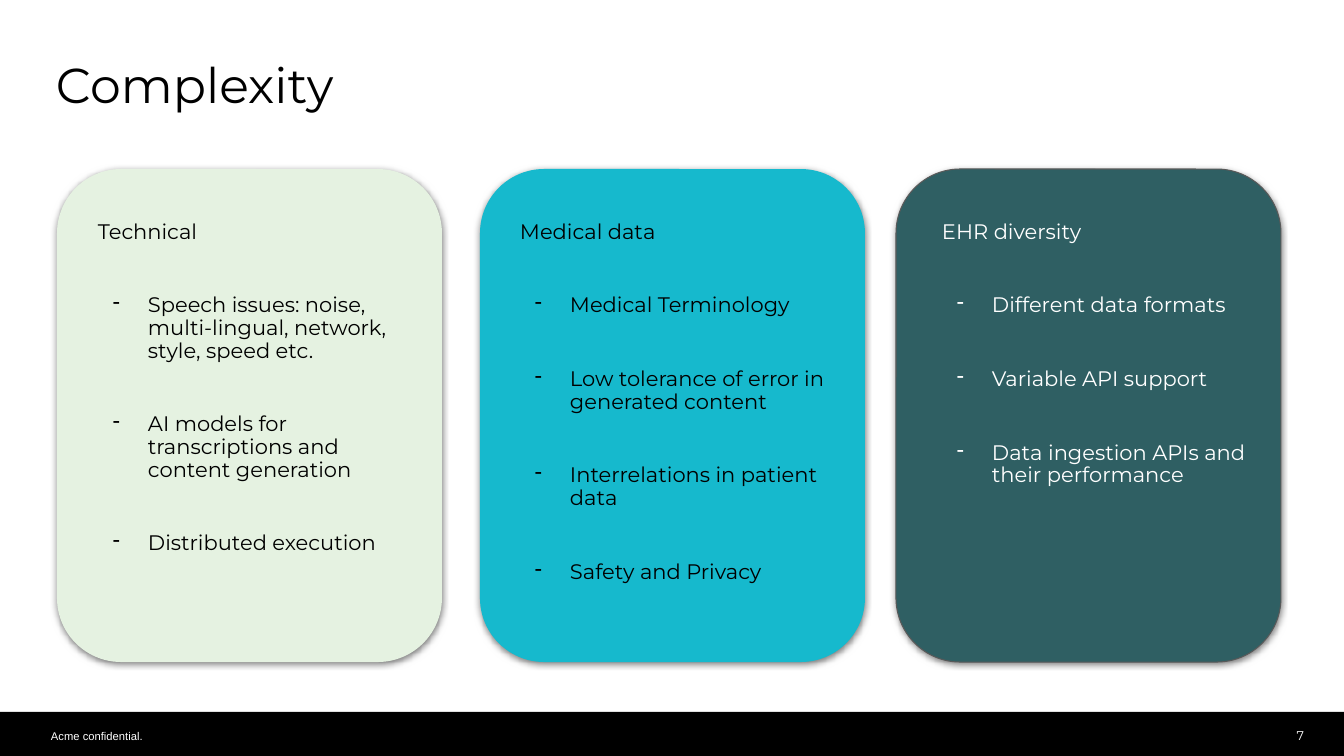
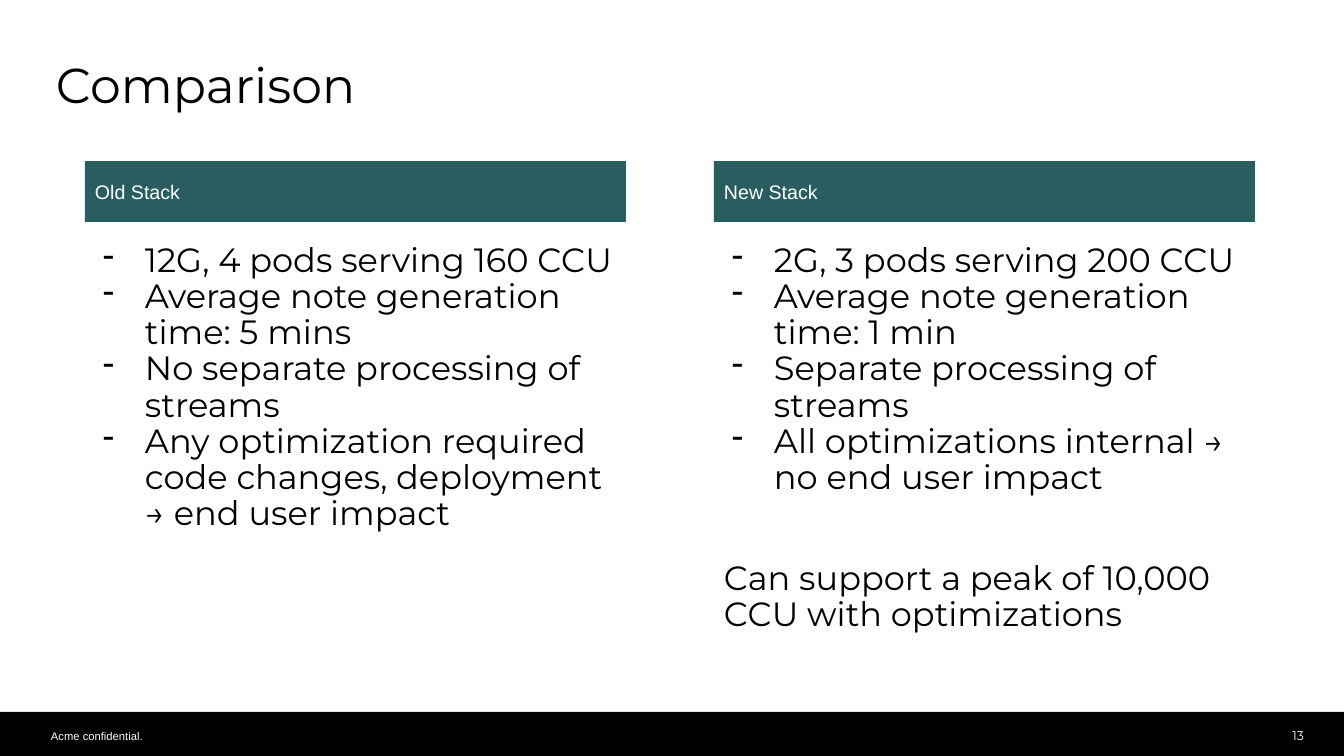
from dataclasses import dataclass

from lxml.etree import SubElement
from pptx import Presentation
from pptx.dml.color import RGBColor
from pptx.enum.shapes import MSO_SHAPE
from pptx.enum.text import MSO_ANCHOR, PP_ALIGN
from pptx.oxml.ns import qn
from pptx.util import Pt

EMU_PER_PX = 914400 / 100.8
SLIDE_WIDTH, SLIDE_HEIGHT = 1344, 756
BLACK, WHITE = "000000", "FFFFFF"
HEADER_TEAL = "2A5D5F"
HEADING_FONT, LABEL_FONT = "Montserrat", "Arial"
BULLET_INDENT = 50


@dataclass
class TextStyle:
    size: int
    color: str = BLACK
    font: str = HEADING_FONT
    line_spacing: float = 1.0
    align: PP_ALIGN = PP_ALIGN.LEFT


@dataclass
class Line:
    text: str
    hanging: int = 0
    space_before: float = 0


TITLE = TextStyle(35, line_spacing=0.9)
COMPARISON_BODY = TextStyle(24, line_spacing=0.9)
HEADER_LABEL = TextStyle(14, WHITE, LABEL_FONT)
FOOTER = TextStyle(8, WHITE, LABEL_FONT)
PAGE_NUMBER = TextStyle(9, WHITE, align=PP_ALIGN.RIGHT)

CARDS = [
    (57, "E5F2E1", None, BLACK, "Technical", [
        "Speech issues: noise, multi-lingual, network, style, speed etc.",
        "AI models for transcriptions and content generation",
        "Distributed execution",
    ]),
    (480, "16B9CD", None, BLACK, "Medical data", [
        "Medical Terminology",
        "Low tolerance of error in generated content",
        "Interrelations in patient data",
        "Safety and Privacy",
    ]),
    (896, "2F5F63", "595959", WHITE, "EHR diversity", [
        "Different data formats",
        "Variable API support",
        "Data ingestion APIs and their performance",
    ]),
]

STACKS = [
    ("Old Stack", [
        "12G, 4 pods serving 160 CCU",
        "Average note generation time: 5 mins",
        "No separate processing of streams",
        "Any optimization required code changes, deployment → end user impact",
    ], None),
    ("New Stack", [
        "2G, 3 pods serving 200 CCU",
        "Average note generation time: 1 min",
        "Separate processing of streams",
        "All optimizations internal → no end user impact",
    ], "Can support a peak of 10,000 CCU with optimizations"),
]


def px(length):
    return round(length * EMU_PER_PX)


def rgb(color):
    return RGBColor.from_string(color)


def add_bullet(paragraph, hanging, color):
    properties = paragraph._p.get_or_add_pPr()
    properties.set("marL", str(px(BULLET_INDENT)))
    properties.set("indent", str(-px(hanging)))
    bullet_color = SubElement(properties, qn("a:buClr"))
    SubElement(bullet_color, qn("a:srgbClr"), val=color)
    SubElement(properties, qn("a:buChar"), char="-")


def write_lines(shape, lines, style, anchor=MSO_ANCHOR.TOP, inset=10):
    frame = shape.text_frame
    frame.word_wrap = True
    frame.vertical_anchor = anchor
    frame.margin_left = frame.margin_right = px(inset)
    frame.margin_top = frame.margin_bottom = px(inset)
    for index, line in enumerate(lines):
        paragraph = frame.add_paragraph() if index else frame.paragraphs[0]
        paragraph.text = line.text
        if line.hanging:
            add_bullet(paragraph, line.hanging, style.color)
        paragraph.alignment = style.align
        paragraph.line_spacing = style.line_spacing
        paragraph.space_before = Pt(line.space_before)
        paragraph.font.name = style.font
        paragraph.font.size = Pt(style.size)
        paragraph.font.color.rgb = rgb(style.color)


def add_text(slide, box, lines, style, **layout):
    shape = slide.shapes.add_textbox(*map(px, box))
    write_lines(shape, lines, style, **layout)


def add_panel(slide, box, fill, preset=MSO_SHAPE.RECTANGLE, outline=None):
    shape = slide.shapes.add_shape(preset, *map(px, box))
    shape.shadow.inherit = False
    shape.fill.solid()
    shape.fill.fore_color.rgb = rgb(fill)
    if outline:
        shape.line.color.rgb = rgb(outline)
        shape.line.width = Pt(0.75)
    else:
        shape.line.fill.background()
    return shape


def add_soft_shadow(shape):
    effects = shape._element.spPr.find(qn("a:effectLst"))
    shadow = SubElement(effects, qn("a:outerShdw"), blurRad=str(Pt(4.5)),
                        dist=str(Pt(1.5)), dir="5400000", algn="bl", rotWithShape="0")
    color = SubElement(shadow, qn("a:srgbClr"), val=BLACK)
    SubElement(color, qn("a:alpha"), val="50000")


def add_base_slide(presentation, title, number):
    slide = presentation.slides.add_slide(presentation.slide_layouts[6])
    add_panel(slide, (0, 712, SLIDE_WIDTH, 44), BLACK)
    add_text(slide, (1282, 723, 27, 25), [Line(str(number))], PAGE_NUMBER,
             anchor=MSO_ANCHOR.MIDDLE, inset=5)
    add_text(slide, (51, 729, 965, 13), [Line("Acme confidential.")], FOOTER, inset=0)
    add_text(slide, (46, 47, 1248, 82), [Line(title)], TITLE, anchor=MSO_ANCHOR.MIDDLE)
    return slide


def add_complexity_slide(presentation):
    slide = add_base_slide(presentation, "Complexity", 7)
    for index, (left, fill, outline, color, heading, points) in enumerate(CARDS):
        card = add_panel(slide, (left, 169, 385, 493), fill,
                         MSO_SHAPE.FLOWCHART_ALTERNATE_PROCESS, outline)
        add_soft_shadow(card)
        lines = [Line(heading)] + [Line(point, 35, 36.4) for point in points]
        add_text(slide, (88 + 422 * index, 211, 326, 419), lines,
                 TextStyle(15, color, line_spacing=0.9))


def add_comparison_slide(presentation):
    slide = add_base_slide(presentation, "Comparison", 13)
    for index, (heading, points, conclusion) in enumerate(STACKS):
        left = 85 + 629 * index
        header = add_panel(slide, (left, 161, 541, 61), HEADER_TEAL)
        write_lines(header, [Line(heading)], HEADER_LABEL, anchor=MSO_ANCHOR.MIDDLE)
        lines = [Line(point, 42) for point in points]
        if conclusion:
            lines.append(Line(conclusion, space_before=46))
        add_text(slide, (left, 233, 541, 455), lines, COMPARISON_BODY)


def main():
    presentation = Presentation()
    presentation.slide_width = px(SLIDE_WIDTH)
    presentation.slide_height = px(SLIDE_HEIGHT)
    add_complexity_slide(presentation)
    add_comparison_slide(presentation)
    presentation.save("out.pptx")


if __name__ == "__main__":
    main()
